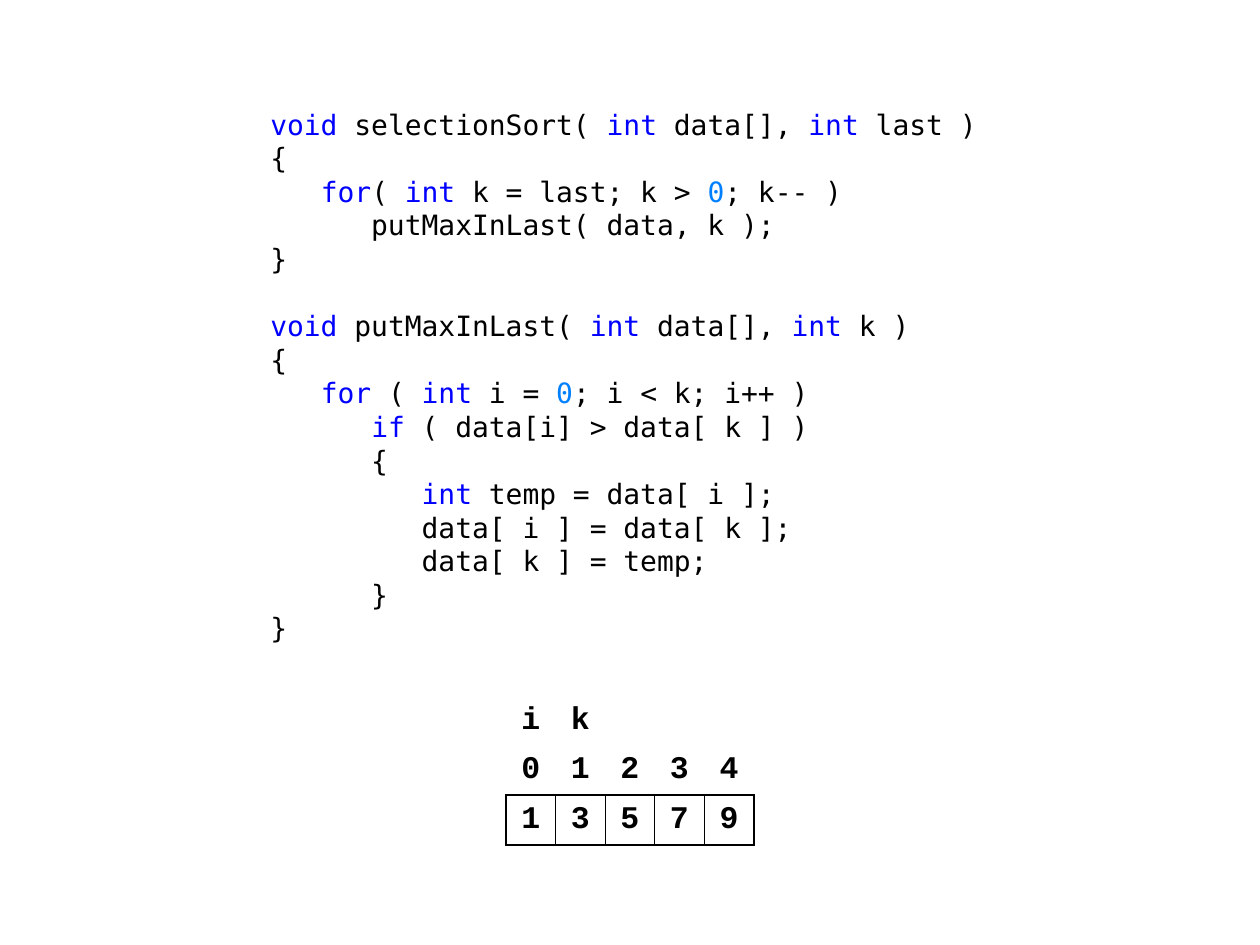
from itertools import groupby

from pptx import Presentation
from pptx.dml.color import RGBColor
from pptx.enum.text import MSO_ANCHOR as ANCHOR, PP_ALIGN as ALIGN
from pptx.oxml import parse_xml
from pptx.oxml.ns import nsdecls
from pptx.util import Emu, Pt

BLACK = RGBColor(0x00, 0x00, 0x00)
WHITE = RGBColor(0xFF, 0xFF, 0xFF)
KEYWORD = RGBColor(0x00, 0x00, 0xFF)
NUMBER = RGBColor(0x00, 0x80, 0xFF)

CODE_FONT = "DejaVu Sans Mono"
TABLE_FONT = "Courier New"
KEYWORDS = {"void", "int", "for", "if"}

CODE = """\
void selectionSort( int data[], int last )
{
   for( int k = last; k > 0; k-- )
      putMaxInLast( data, k );
}

void putMaxInLast( int data[], int k )
{
   for ( int i = 0; i < k; i++ )
      if ( data[i] > data[ k ] )
      {
         int temp = data[ i ];
         data[ i ] = data[ k ];
         data[ k ] = temp;
      }
}"""

MARKERS = ["i", "k", "", "", ""]
INDEXES = ["0", "1", "2", "3", "4"]
VALUES = ["1", "3", "5", "7", "9"]

THICK, THIN = 1.5, 0.75


def px(n):
    """Slide pixels, 126 to the inch, as EMU."""
    return Emu(round(n * 914400 / 126))


def add_text(p, text, font, size, color=BLACK, bold=False):
    r = p.add_run()
    r.text = text
    r.font.name = font
    r.font.size = Pt(size)
    r.font.bold = bold
    r.font.color.rgb = color


def token_color(token):
    if token in KEYWORDS:
        return KEYWORD
    return NUMBER if token.isdigit() else BLACK


def colored_runs(line):
    """Split a code line into (color, text) runs."""
    tokens = ["".join(chars) for _, chars in groupby(line, str.isalnum)]
    return [(color, "".join(group)) for color, group in groupby(tokens, token_color)]


def add_code(slide, x, y, w, h):
    tf = slide.shapes.add_textbox(px(x), px(y), px(w), px(h)).text_frame
    tf.word_wrap = True
    for i, line in enumerate(CODE.split("\n")):
        p = tf.add_paragraph() if i else tf.paragraphs[0]
        p.line_spacing = Pt(19.2)
        p.font.size = Pt(16)
        for color, text in colored_runs(line):
            add_text(p, text, CODE_FONT, 16, color)


def set_borders(cell, **widths):
    """Draw the sides L, R, T, B given in points; hide the others."""
    tc_pr = cell._tc.get_or_add_tcPr()
    for side in "LRTB":
        width = widths.get(side, 0)
        paint = (f'<a:solidFill><a:srgbClr val="{BLACK}"/></a:solidFill>'
                 if width else "<a:noFill/>")
        tc_pr.append(parse_xml(
            f'<a:ln{side} {nsdecls("a")} w="{Pt(width)}">{paint}</a:ln{side}>'))


def add_array(slide, x, y, w, h):
    rows = [MARKERS, INDEXES, VALUES]
    n_rows, n_cols = len(rows), len(VALUES)
    table = slide.shapes.add_table(n_rows, n_cols, px(x), px(y), px(w), px(h)).table
    table.first_row = table.horz_banding = False
    for col in table.columns:
        col.width = px(w / n_cols)
    for row in table.rows:
        row.height = px(h / n_rows)

    for r, texts in enumerate(rows):
        for c, text in enumerate(texts):
            cell = table.cell(r, c)
            cell.vertical_anchor = ANCHOR.MIDDLE
            cell.margin_top = cell.margin_bottom = px(5)
            p = cell.text_frame.paragraphs[0]
            p.alignment = ALIGN.CENTER
            if text:
                add_text(p, text, TABLE_FONT, 18, bold=True)

            # Only the values are boxed, with a thicker outer frame
            if texts is VALUES:
                set_borders(cell, T=THICK, B=THICK,
                            L=THIN if c else THICK,
                            R=THIN if c < n_cols - 1 else THICK)
                cell.fill.solid()
                cell.fill.fore_color.rgb = WHITE
            else:
                set_borders(cell, B=THICK if texts is INDEXES else 0)
                cell.fill.background()


def main():
    prs = Presentation()
    prs.slide_width, prs.slide_height = px(1260), px(945)
    slide = prs.slides.add_slide(prs.slide_layouts[6])
    add_code(slide, 258, 101, 745, 546)
    add_array(slide, 506, 696, 248, 149)
    prs.save("out.pptx")


if __name__ == "__main__":
    main()
